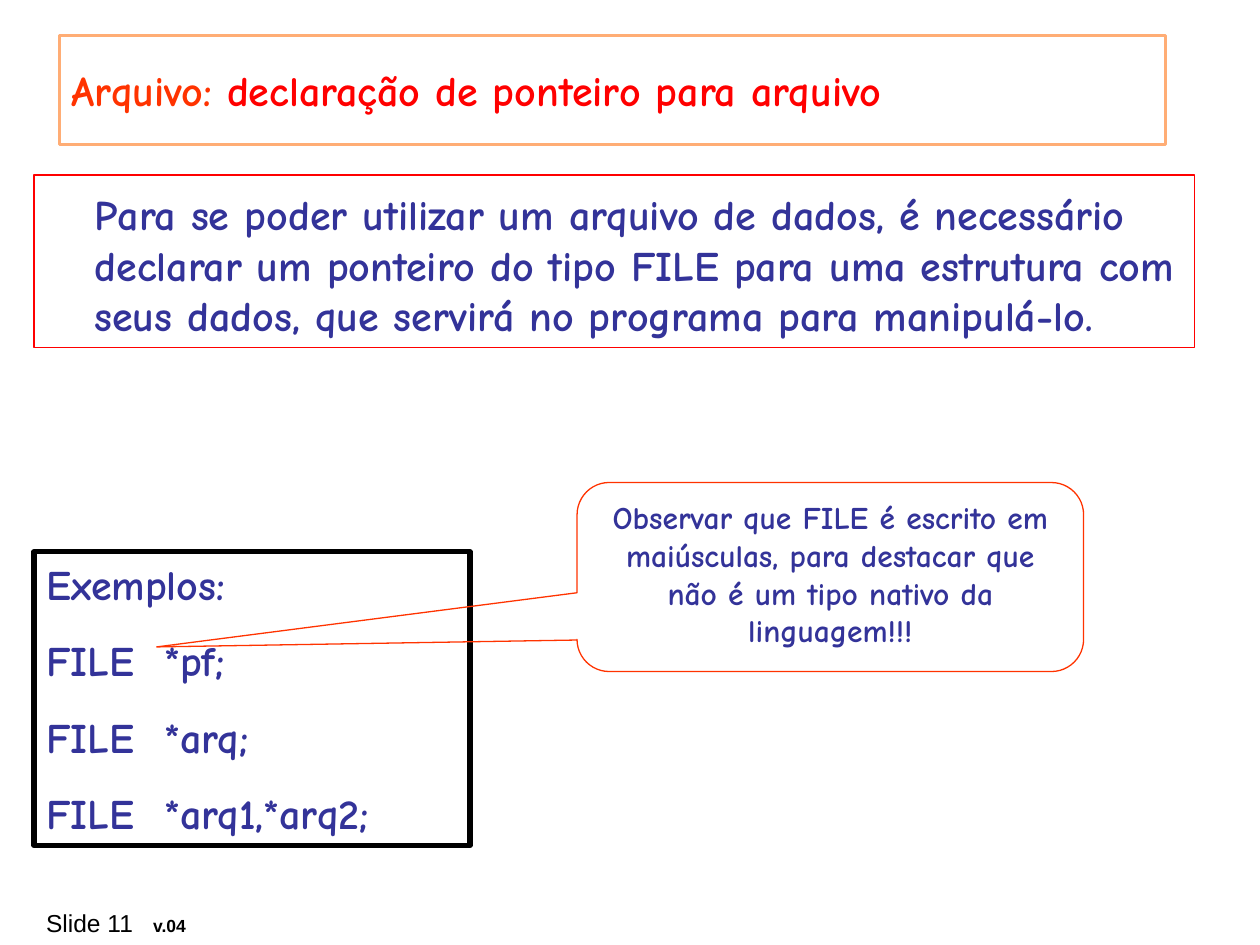
"""Build the slide on declaring a file pointer in C."""
from lxml import etree
from pptx import Presentation
from pptx.dml.color import RGBColor
from pptx.enum.shapes import MSO_SHAPE
from pptx.enum.text import MSO_ANCHOR, PP_ALIGN
from pptx.oxml.ns import qn
from pptx.util import Emu, Inches, Pt

RECT, ROUNDED = MSO_SHAPE.RECTANGLE, MSO_SHAPE.ROUNDED_RECTANGLE
CALLOUT = MSO_SHAPE.ROUNDED_RECTANGULAR_CALLOUT
LEFT, CENTER = PP_ALIGN.LEFT, PP_ALIGN.CENTER
TOP, MIDDLE = MSO_ANCHOR.TOP, MSO_ANCHOR.MIDDLE

COMIC, ARIAL = "Comic Neue", "Arial"
NAVY, BLACK, RED, ORANGE, PEACH = "333399", "000000", "FF0000", "FF3300", "FFAD75"
MARGIN = 0.27

FOOTER = [[("Slide 11", {"size": 14, "bold": False}), ("\tv.04", {"size": 10})]]
TITLE = [[("Arquivo: ", {"color": ORANGE}),
          ("declaração de ponteiro para arquivo", {"color": RED})]]
RULE = ["Para se poder utilizar um arquivo de dados, é necessário declarar um "
        "ponteiro do tipo FILE para uma estrutura com seus dados, que servirá "
        "no programa para manipulá-lo."]
EXAMPLES = ["Exemplos:", "FILE  *pf;", "FILE  *arq;", "FILE  *arq1,*arq2;"]
REMARK = ["Observar que FILE é escrito em maiúsculas, para destacar que não é um "
          "tipo nativo da linguagem!!!"]

PANELS = [
    {"kind": ROUNDED, "box": (MARGIN, 7.16, 1.25, 0.33), "paragraphs": FOOTER,
     "text": {"font": ARIAL, "color": BLACK, "anchor": MIDDLE, "left": 0.08, "right": 0,
              "tab": 0.85}},
    {"kind": RECT, "box": (0.47, 0.28, 8.78, 0.87), "line": (PEACH, 1.5),
     "paragraphs": TITLE, "text": {"anchor": MIDDLE}},
    {"kind": RECT, "box": (MARGIN, 1.39, 9.21, 1.37), "line": (RED, 0.75),
     "paragraphs": RULE, "text": {"left": 0.48, "top": 0.11}},
    {"kind": RECT, "box": (MARGIN, 4.38, 3.46, 2.33), "line": (BLACK, 3),
     "paragraphs": EXAMPLES, "text": {"gap": 15}},
    {"kind": CALLOUT, "box": (4.58, 3.83, 4.02, 1.5), "line": (ORANGE, 0.75),
     "adjust": (-1.33, 0.37, 0.17), "paragraphs": REMARK,
     "text": {"size": 18, "align": CENTER}},
]


def rgb(hex_color):
    return RGBColor.from_string(hex_color)


def write(shape, paragraphs, font=COMIC, size=24, color=NAVY, bold=True, align=LEFT,
          anchor=TOP, left=0.1, top=0.05, right=0.1, gap=0, tab=None):
    frame = shape.text_frame
    frame.word_wrap = True
    frame.vertical_anchor = anchor
    frame.margin_left, frame.margin_right = Inches(left), Inches(right)
    frame.margin_top, frame.margin_bottom = Inches(top), Inches(0.05)
    for index, content in enumerate(paragraphs):
        paragraph = frame.add_paragraph() if index else frame.paragraphs[0]
        paragraph.alignment = align
        if index:
            paragraph.space_before = Pt(gap)
        if tab:
            stops = etree.SubElement(paragraph._p.get_or_add_pPr(), qn("a:tabLst"))
            etree.SubElement(stops, qn("a:tab"), pos=str(Inches(tab)), algn="l")
        pieces = [(content, {})] if isinstance(content, str) else content
        for words, style in pieces:
            run = paragraph.add_run()
            run.text = words
            run.font.name = font
            run.font.size = Pt(style.get("size", size))
            run.font.bold = style.get("bold", bold)
            run.font.color.rgb = rgb(style.get("color", color))


def add_panel(slide, kind, box, paragraphs, text, line=None, adjust=()):
    panel = slide.shapes.add_shape(kind, *map(Inches, box))
    panel.shadow.inherit = False
    panel.fill.background()
    if line:
        panel.line.color.rgb = rgb(line[0])
        panel.line.width = Emu(Pt(line[1]))
    else:
        panel.line.fill.background()
    for index, value in enumerate(adjust):
        panel.adjustments[index] = value
    write(panel, paragraphs, **text)


def main():
    deck = Presentation()
    deck.slide_width, deck.slide_height = Inches(10), Inches(7.5)
    slide = deck.slides.add_slide(deck.slide_layouts[6])
    for panel in PANELS:
        add_panel(slide, **panel)
    deck.save("out.pptx")


if __name__ == "__main__":
    main()
